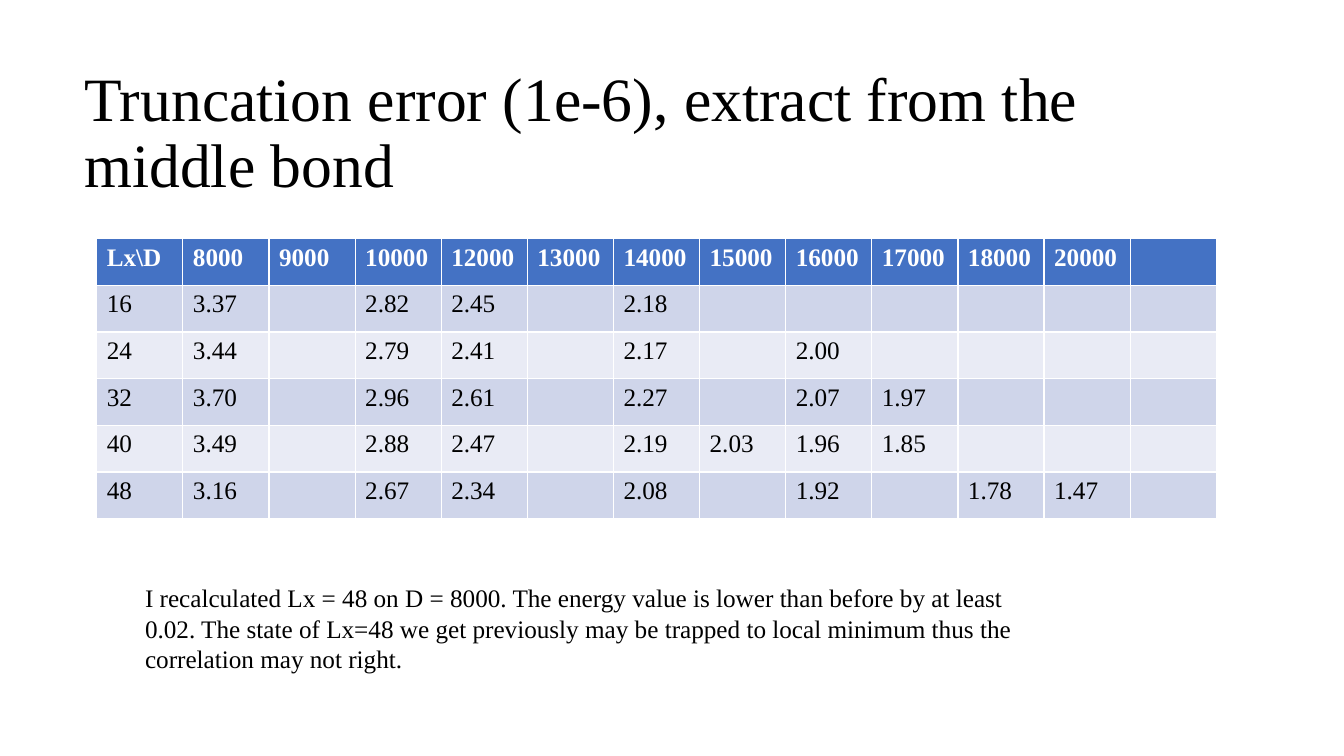
from pptx import Presentation
from pptx.dml.color import RGBColor
from pptx.enum.text import MSO_ANCHOR
from pptx.util import Pt

FONT = "Times New Roman"
BLACK = RGBColor(0x00, 0x00, 0x00)
WHITE = RGBColor(0xFF, 0xFF, 0xFF)
BLUE = RGBColor(0x44, 0x72, 0xC4)
BANDS = [RGBColor(0xCF, 0xD5, 0xEA), RGBColor(0xE9, 0xEB, 0xF5)]

TITLE = "Truncation error (1e-6), extract from the middle bond"
NOTE = ("I recalculated Lx = 48 on D = 8000. The energy value is lower than "
        "before by at least 0.02. The state of Lx=48 we get previously may be "
        "trapped to local minimum thus the correlation may not right.")

# Bond dimensions D, then the truncation errors of each Lx by D
BONDS = [8000, 9000, 10000, 12000, 13000, 14000,
         15000, 16000, 17000, 18000, 20000]
ERRORS = {
    16: {8000: 3.37, 10000: 2.82, 12000: 2.45, 14000: 2.18},
    24: {8000: 3.44, 10000: 2.79, 12000: 2.41, 14000: 2.17, 16000: 2.00},
    32: {8000: 3.70, 10000: 2.96, 12000: 2.61, 14000: 2.27, 16000: 2.07,
         17000: 1.97},
    40: {8000: 3.49, 10000: 2.88, 12000: 2.47, 14000: 2.19, 15000: 2.03,
         16000: 1.96, 17000: 1.85},
    48: {8000: 3.16, 10000: 2.67, 12000: 2.34, 14000: 2.08, 16000: 1.92,
         18000: 1.78, 20000: 1.47},
}


def style(para, size, color, bold=False):
    look = {"name": FONT, "size": Pt(size), "bold": bold}
    for key, value in look.items():
        setattr(para.font, key, value)
    para.font.color.rgb = color


def add_text(slide, text, box, size, anchor, spacing):
    frame = slide.shapes.add_textbox(*map(Pt, box)).text_frame
    frame.word_wrap = True
    frame.vertical_anchor = anchor
    para = frame.paragraphs[0]
    para.text = text
    para.line_spacing = spacing
    style(para, size, BLACK)


def add_grid(slide, rows, box):
    # The default table style supplies the white cell borders
    table = slide.shapes.add_table(len(rows), len(rows[0]),
                                   *map(Pt, box)).table
    for r, row in enumerate(rows):
        head = r == 0
        fill = BLUE if head else BANDS[(r - 1) % 2]
        for c, text in enumerate(row):
            cell = table.cell(r, c)
            cell.text = text
            cell.fill.solid()
            cell.fill.fore_color.rgb = fill
            style(cell.text_frame.paragraphs[0], 18,
                  WHITE if head else BLACK, head)


def get_rows():
    # The last column is left empty
    rows = [["Lx\\D", *map(str, BONDS), ""]]
    for size, found in ERRORS.items():
        cells = [f"{found[d]:.2f}" if d in found else "" for d in BONDS]
        rows.append([str(size), *cells, ""])
    return rows


def main():
    deck = Presentation()
    deck.slide_width, deck.slide_height = Pt(960), Pt(540)
    slide = deck.slides.add_slide(deck.slide_layouts[6])

    # Title
    add_text(slide, TITLE, (53.3, 43.9, 828, 104.4), 44,
             MSO_ANCHOR.MIDDLE, 0.9)
    # Table of errors
    add_grid(slide, get_rows(), (69.1, 170.6, 800, 200))
    # Note below the table
    add_text(slide, NOTE, (96.5, 412.6, 663.1, 72.7), 18,
             MSO_ANCHOR.TOP, 1.0)

    deck.save("out.pptx")


if __name__ == "__main__":
    main()
